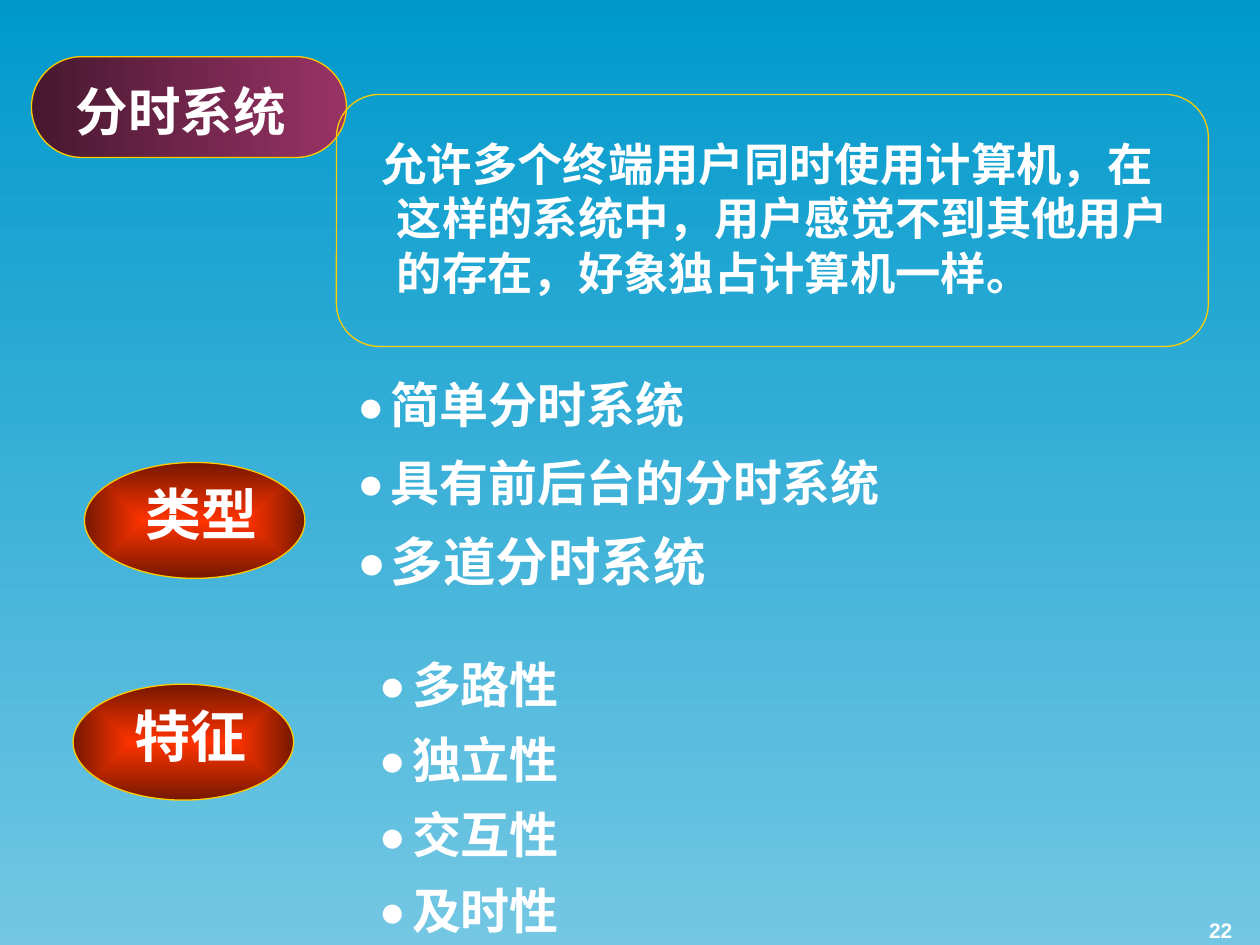
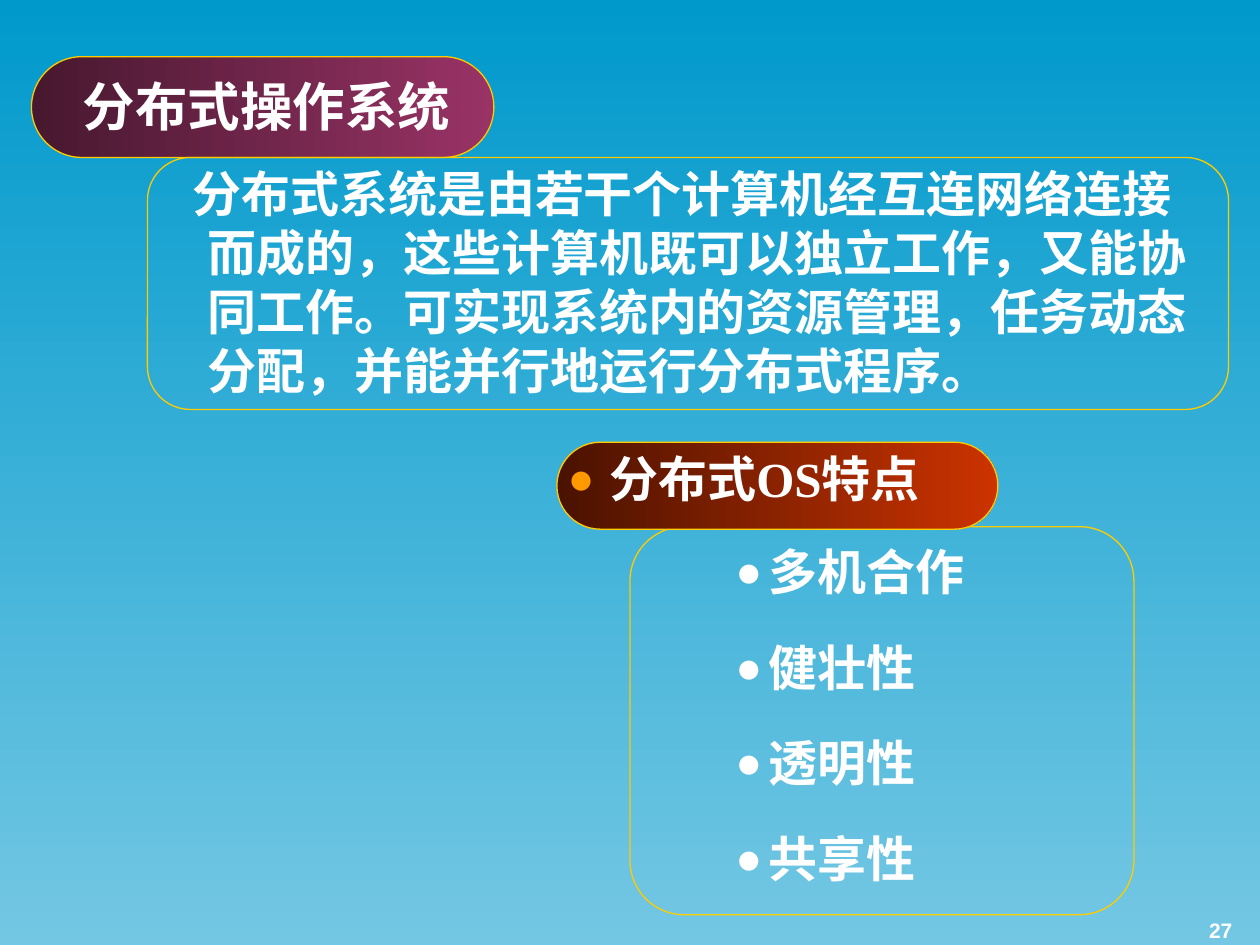
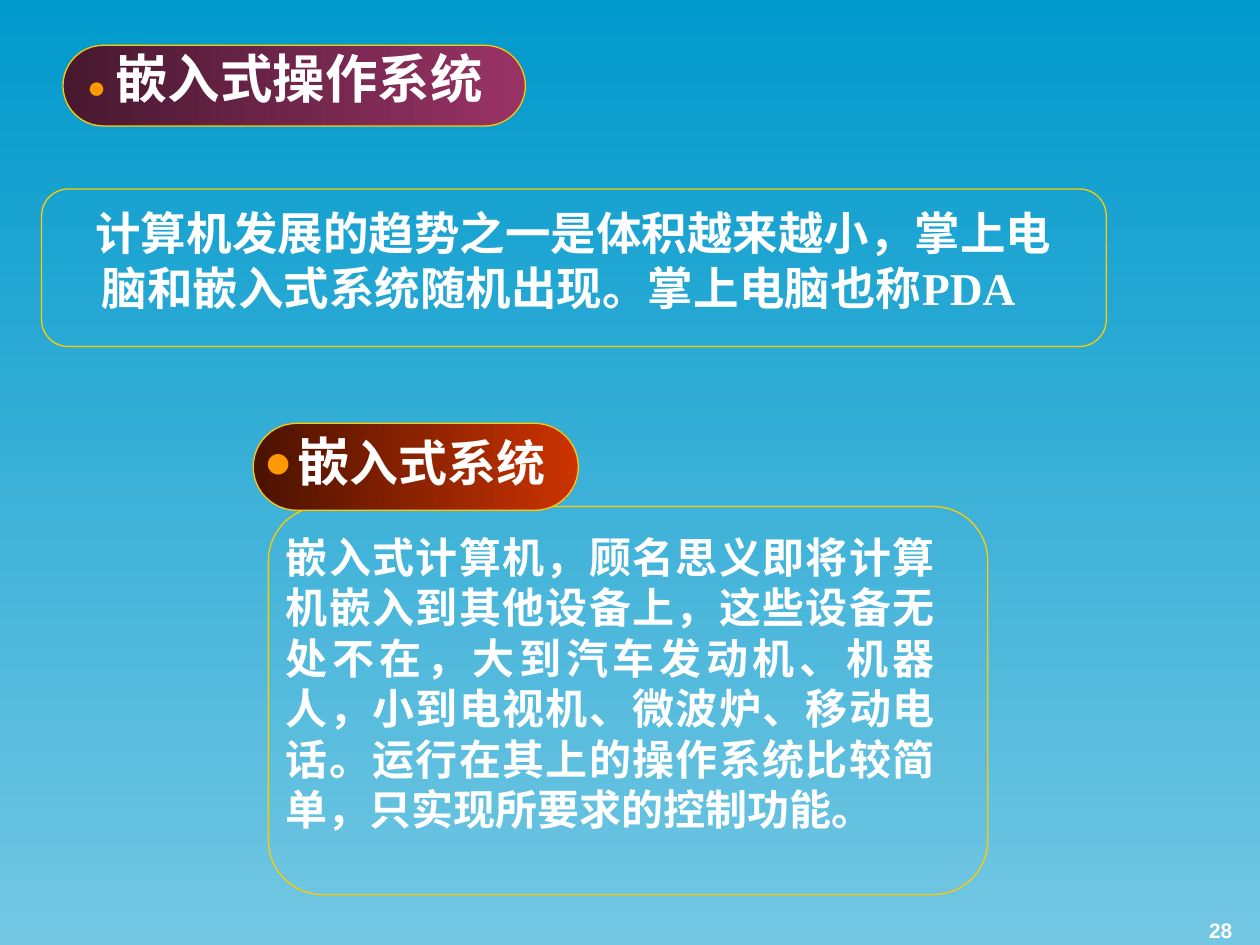
from lxml import etree
from pptx import Presentation
from pptx.dml.color import RGBColor
from pptx.enum.shapes import MSO_SHAPE
from pptx.enum.text import MSO_ANCHOR, MSO_AUTO_SIZE, PP_ALIGN
from pptx.oxml.ns import qn
from pptx.util import Inches, Pt

ROUNDED, OVAL = MSO_SHAPE.ROUNDED_RECTANGLE, MSO_SHAPE.OVAL
LEFT, CENTER, RIGHT, JUSTIFY = PP_ALIGN.LEFT, PP_ALIGN.CENTER, PP_ALIGN.RIGHT, PP_ALIGN.JUSTIFY
TOP, MIDDLE, BOTTOM = MSO_ANCHOR.TOP, MSO_ANCHOR.MIDDLE, MSO_ANCHOR.BOTTOM
NO_AUTOFIT = MSO_AUTO_SIZE.NONE
TWO_LISTS, ONE_LIST, TITLE_ONLY = 3, 1, 5

SERIF, SANS, NUMBER_FONT = "Times New Roman", "Lato", "Arial"
WHITE, GOLD, ORANGE = "FFFFFF", "FFCC00", "FF9900"
SKY = ("0099CC", "73C7E3")
PLUM = ("47182F", "993366")
RUST = ("4A1200", "CC3300")
FLAME = ("FF3300", "761800")
BULLET_PERCENT = 80


def rgb(color):
    return RGBColor.from_string(color)


def set_gradient(fill, colors, angle=0):
    fill.gradient()
    fill.gradient_angle = angle
    for stop, color, position in zip(fill.gradient_stops, colors, (0, 1)):
        stop.color.rgb = rgb(color)
        stop.position = position


def set_indent(paragraph, margin, first_line):
    properties = paragraph._p.get_or_add_pPr()
    properties.set("marL", str(Inches(margin)))
    properties.set("indent", str(Inches(first_line)))
    return properties


def set_bullet(paragraph, color, hanging):
    properties = set_indent(paragraph, hanging, -hanging)
    bullet_color = etree.SubElement(properties, qn("a:buClr"))
    etree.SubElement(bullet_color, qn("a:srgbClr")).set("val", color)
    etree.SubElement(properties, qn("a:buSzPct")).set("val", str(BULLET_PERCENT * 1000))
    etree.SubElement(properties, qn("a:buFont")).set("typeface", SANS)
    etree.SubElement(properties, qn("a:buChar")).set("char", "●")


def format_run(run, size, font, color=WHITE, bold=True):
    run.font.size = Pt(size)
    run.font.name = font
    run.font.bold = bold
    run.font.color.rgb = rgb(color)


def place(shape, box):
    shape.left, shape.top, shape.width, shape.height = map(Inches, box)


def prepare_frame(shape, anchor):
    frame = shape.text_frame
    frame.word_wrap = True
    frame.auto_size = NO_AUTOFIT
    frame.vertical_anchor = anchor
    return frame


def add_text(slide, box, text, size, font=SERIF, align=LEFT, anchor=TOP):
    frame = prepare_frame(slide.shapes.add_textbox(*map(Inches, box)), anchor)
    frame.text = text
    paragraph = frame.paragraphs[0]
    paragraph.alignment = align
    paragraph._p.get_or_add_pPr().set("hangingPunct", "0")
    format_run(paragraph.runs[0], size, font)
    return paragraph


def add_outline(slide, kind, box, colors=None, corner=None):
    shape = slide.shapes.add_shape(kind, *map(Inches, box))
    shape.shadow.inherit = False
    if corner is not None:
        shape.adjustments[0] = corner
    if colors:
        set_gradient(shape.fill, colors)
    else:
        shape.fill.background()
    shape.line.color.rgb = rgb(GOLD)
    shape.line.width = Pt(0.75)
    return shape


def add_title(slide, pill_box, title_box, text):
    pill = add_outline(slide, ROUNDED, pill_box, PLUM, 0.5)
    title = slide.shapes.title
    place(title, title_box)
    frame = prepare_frame(title, MIDDLE)
    frame.text = text
    frame.paragraphs[0].alignment = CENTER
    format_run(frame.paragraphs[0].runs[0], 30, SERIF)
    title.element.getparent().append(title.element)
    return pill


def add_definition(slide, frame_box, text_box, text, size, first_line):
    paragraph = add_text(slide, text_box, text, size)
    set_indent(paragraph, 0.38, first_line)
    add_outline(slide, ROUNDED, frame_box, corner=0.17)


def add_oval_label(slide, left, top, text):
    oval = add_outline(slide, OVAL, (left, top, 1.75, 0.92), FLAME)
    gradient = oval.element.spPr.find(qn("a:gradFill"))
    gradient.remove(gradient.find(qn("a:lin")))
    radial = etree.SubElement(gradient, qn("a:path"))
    radial.set("path", "rect")
    center = etree.SubElement(radial, qn("a:fillToRect"))
    for side in "ltrb":
        center.set(side, "50000")
    add_text(slide, (left + 0.39, top + 0.09, 1.17, 0.64), text, 32)


def fill_list(placeholder, box, items, space_before, line_spacing=1.0):
    place(placeholder, box)
    frame = prepare_frame(placeholder, TOP)
    frame.text = "\n".join(text for text, size in items)
    for index, (paragraph, (text, size)) in enumerate(zip(frame.paragraphs, items)):
        paragraph.alignment = LEFT
        paragraph.line_spacing = line_spacing
        paragraph.space_before = Pt(space_before if index else 0)
        set_bullet(paragraph, WHITE, 0.25)
        format_run(paragraph.runs[0], size, SANS)


def add_panel(slide, left, top, panel_box, pill_width, heading, hanging):
    add_outline(slide, ROUNDED, panel_box, corner=0.14)
    add_outline(slide, ROUNDED, (left, top, pill_width, 0.69), RUST, 0.5)
    first, *others = heading
    paragraph = add_text(slide, (left, top, pill_width, 0.6), *first)
    set_bullet(paragraph, ORANGE, hanging)
    for text, size in others:
        run = paragraph.add_run()
        run.text = text
        format_run(run, size, SERIF)


def add_slide(presentation, layout, number):
    slide = presentation.slides.add_slide(presentation.slide_layouts[layout])
    add_text(slide, (7.55, 7.01, 2.33, 0.52), number, 12, NUMBER_FONT, RIGHT, BOTTOM)
    return slide


def build_time_sharing(presentation):
    slide = add_slide(presentation, TWO_LISTS, "22")
    add_title(slide, (0.25, 0.45, 2.5, 0.8), (0.31, 0.25, 2.25, 1.25), "分时系统")
    add_oval_label(slide, 0.67, 3.67, "类型")
    add_oval_label(slide, 0.58, 5.43, "特征")
    types = [("简单分时系统", 28), ("具有前后台的分时系统", 28), ("多道分时系统", 30)]
    features = [(text, 28) for text in ("多路性", "独立性", "交互性", "及时性")]
    fill_list(slide.placeholders[1], (2.75, 2.96, 7.25, 1.82), types, 12.2, 0.95)
    fill_list(slide.placeholders[2], (2.92, 5.18, 2.08, 2.34), features, 11, 0.95)
    add_definition(
        slide, (2.67, 0.75, 6.92, 2), (2.67, 1.03, 6.92, 1.5),
        "允许多个终端用户同时使用计算机，在这样的系统中，用户感觉不到其他用户的存在，"
        "好象独占计算机一样。", 25.9, -0.12)


def build_distributed(presentation):
    slide = add_slide(presentation, ONE_LIST, "27")
    add_title(slide, (0.25, 0.45, 3.67, 0.8), (0.49, 0.21, 3.25, 1.25), "分布式操作系统")
    features = [(text, 28) for text in ("多机合作", "健壮性", "透明性", "共享性")]
    fill_list(slide.placeholders[1], (5.75, 4.25, 2.83, 2.85), features, 21)
    add_panel(slide, 4.42, 3.51, (5, 4.18, 4, 3.08), 3.5, [("分布式OS特点", 28)], 0.32)
    add_definition(
        slide, (1.17, 1.25, 8.58, 2), (1.17, 1.25, 8.42, 2.22),
        "分布式系统是由若干个计算机经互连网络连接而成的，这些计算机既可以独立工作，"
        "又能协同工作。可实现系统内的资源管理，任务动态分配，并能并行地运行分布式程序。",
        28, -0.12)


def build_embedded(presentation):
    slide = add_slide(presentation, TITLE_ONLY, "28")
    pill = add_title(slide, (0.5, 0.36, 3.67, 0.64), (0.75, 0.24, 3.25, 0.75), "嵌入式操作系统")
    frame = prepare_frame(pill, MIDDLE)
    frame.text = "●"
    frame.paragraphs[0].alignment = LEFT
    format_run(frame.paragraphs[0].runs[0], 18, SERIF, ORANGE, False)
    heading = [("嵌", 30), ("入式系统", 28)]
    add_panel(slide, 2.01, 3.36, (2.13, 4.02, 5.71, 3.08), 2.58, heading, 0.25)
    add_text(
        slide, (2.17, 4.17, 5.35, 2.5),
        "嵌入式计算机，顾名思义即将计算机嵌入到其他设备上，这些设备无处不在，"
        "大到汽车发动机、机器人，小到电视机、微波炉、移动电话。"
        "运行在其上的操作系统比较简单，只实现所要求的控制功能。", 24, SANS, JUSTIFY)
    add_definition(
        slide, (0.33, 1.5, 8.45, 1.25), (0.33, 1.58, 8.37, 1.25),
        "计算机发展的趋势之一是体积越来越小，掌上电脑和嵌入式系统随机出现。掌上电脑也称PDA",
        26, -0.05)


def main():
    presentation = Presentation()
    presentation.slide_width, presentation.slide_height = Inches(10), Inches(7.5)
    set_gradient(presentation.slide_master.background.fill, SKY, 270)
    build_time_sharing(presentation)
    build_distributed(presentation)
    build_embedded(presentation)
    presentation.save("out.pptx")


if __name__ == "__main__":
    main()
